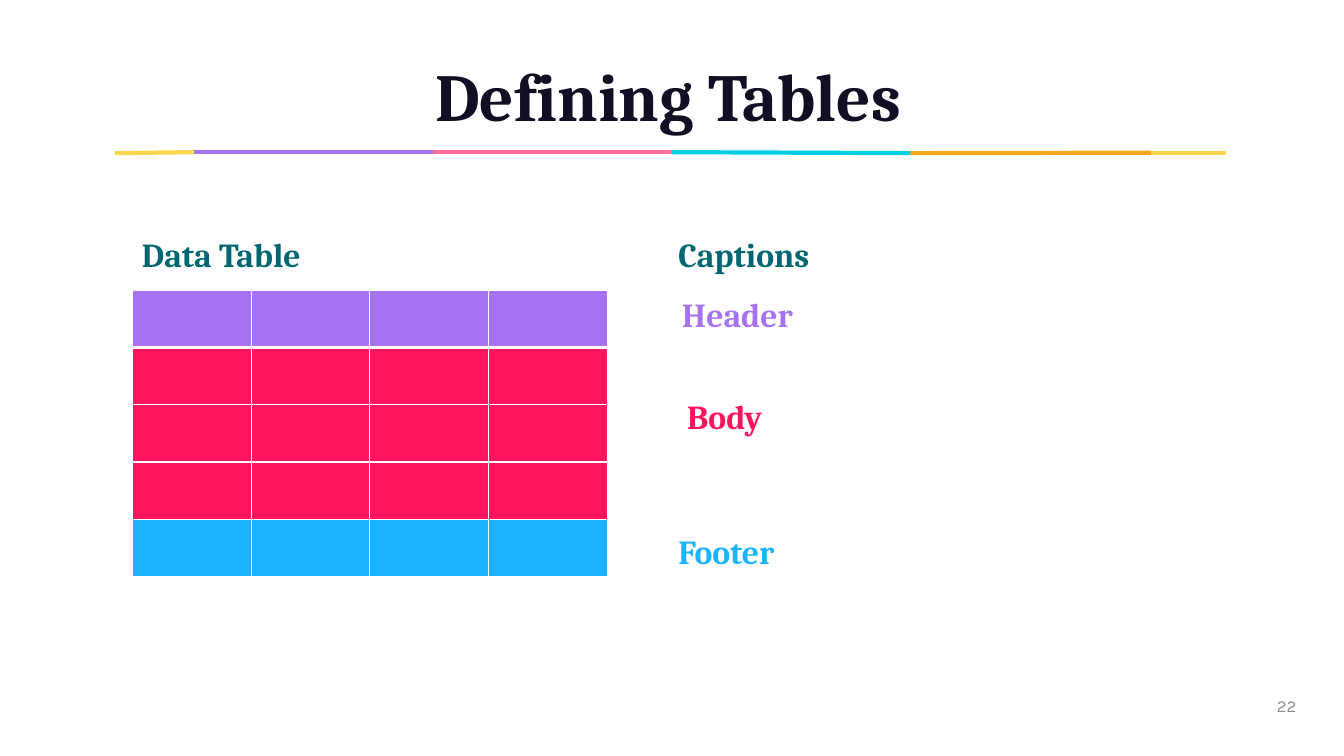
"""Builds the "Defining Tables" slide, with a coloured table and its captions."""
import itertools

import lxml.etree
import pptx
import pptx.dml.color
import pptx.enum.shapes
import pptx.enum.text
import pptx.oxml.ns
import pptx.util

Pt = pptx.util.Pt
Anchor = pptx.enum.text.MSO_ANCHOR
Align = pptx.enum.text.PP_ALIGN


class Theme:
    WHITE = "FFFFFF"
    INK = "120E23"
    TEAL = "006772"
    PURPLE = "A773F4"
    RED = "FF145E"
    BLUE = "1EB3FF"
    YELLOW = "FED64E"
    PINK = "FF709D"
    CYAN = "00CEE4"
    ORANGE = "F9A81D"
    GREY = "8C8C8C"
    TITLE = {"name": "Cambria", "size": Pt(48), "bold": True}
    LABEL = {"name": "Cambria", "size": Pt(24), "bold": True}
    NUMBER = {"name": "Karla", "size": Pt(12), "bold": False}


def rgb(value):
    return pptx.dml.color.RGBColor.from_string(value)


def apply(target, settings):
    for name, value in settings.items():
        setattr(target, name, value)


class SlideBuilder:
    def __init__(self, slide, theme):
        self.slide = slide
        self.theme = theme

    def set_text(self, holder, text, font, color, frame, paragraph):
        apply(holder.text_frame, {"word_wrap": True, **frame})
        line = holder.text_frame.paragraphs[0]
        apply(line, paragraph)
        wording = line.add_run()
        wording.text = text
        apply(wording.font, font)
        wording.font.color.rgb = rgb(color)

    def title(self, text, left, top, width, height):
        heading = self.slide.shapes.title
        apply(heading, {"left": Pt(left), "top": Pt(top),
                        "width": Pt(width), "height": Pt(height)})
        self.set_text(heading, text, self.theme.TITLE, self.theme.INK,
                      {"vertical_anchor": Anchor.BOTTOM,
                       "auto_size": pptx.enum.text.MSO_AUTO_SIZE.NONE},
                      {"alignment": Align.CENTER, "line_spacing": 1.7})

    def text(self, text, left, top, width, height, font, color,
             anchor=Anchor.TOP, align=Align.LEFT):
        box = self.slide.shapes.add_textbox(Pt(left), Pt(top), Pt(width), Pt(height))
        self.set_text(box, text, font, color,
                      {"vertical_anchor": anchor}, {"alignment": align})

    def line(self, start, end, color, width=3):
        points = [Pt(value) for value in (*start, *end)]
        segment = self.slide.shapes.add_connector(
            pptx.enum.shapes.MSO_CONNECTOR.STRAIGHT, *points)
        segment.line.width = Pt(width)
        segment.line.color.rgb = rgb(color)
        lxml.etree.SubElement(segment._element.spPr, pptx.oxml.ns.qn("a:effectLst"))

    def table(self, left, top, width, height, row_colors, columns):
        data_table = self.slide.shapes.add_table(
            len(row_colors), columns, Pt(left), Pt(top), Pt(width), Pt(height)).table
        for row, color in enumerate(row_colors):
            edges = {"L": 1, "R": 1, "T": 3 if row == 1 else 1, "B": 3 if row == 0 else 1}
            for column in range(columns):
                cell = data_table.cell(row, column)
                for side, weight in edges.items():
                    self.border(cell, side, weight)
                cell.fill.solid()
                cell.fill.fore_color.rgb = rgb(color)

    def border(self, cell, side, weight):
        qn = pptx.oxml.ns.qn
        edge = lxml.etree.SubElement(
            cell._tc.get_or_add_tcPr(), qn(f"a:ln{side}"), w=str(int(Pt(weight))))
        fill = lxml.etree.SubElement(edge, qn("a:solidFill"))
        lxml.etree.SubElement(fill, qn("a:srgbClr"), val=self.theme.WHITE)


def main():
    theme = Theme()
    deck = pptx.Presentation()
    apply(deck, {"slide_width": Pt(960), "slide_height": Pt(540)})
    builder = SlideBuilder(deck.slides.add_slide(deck.slide_layouts[5]), theme)

    rule_points = [(82, 109.4), (138.3, 108.7), (309, 108.7), (480, 108.7),
                   (650.2, 109.4), (822.3, 109.1), (875.5, 109.1)]
    rule_colors = [theme.YELLOW, theme.PURPLE, theme.PINK,
                   theme.CYAN, theme.ORANGE, theme.YELLOW]
    for (start, end), color in zip(itertools.pairwise(rule_points), rule_colors):
        builder.line(start, end, color)

    builder.title("Defining Tables", 51, 36, 852.5, 64)
    builder.text("22", 903.6, 490.3, 29.5, 27.4, theme.NUMBER, theme.GREY,
                 Anchor.MIDDLE, Align.RIGHT)
    builder.table(94.6, 207.4, 339.3, 204.5,
                  [theme.PURPLE, *[theme.RED] * 3, theme.BLUE], 4)

    labels = [("Data Table", 94.3, 163.4, theme.TEAL),
              ("Captions", 477.4, 163.4, theme.TEAL),
              ("Header", 480.2, 206.6, theme.PURPLE),
              ("Body", 483.8, 279.4, theme.RED),
              ("Footer", 477.4, 375.8, theme.BLUE)]
    for wording, left, top, color in labels:
        builder.text(wording, left, top, 298.8, 36, theme.LABEL, color)

    deck.save("out.pptx")


if __name__ == "__main__":
    main()
